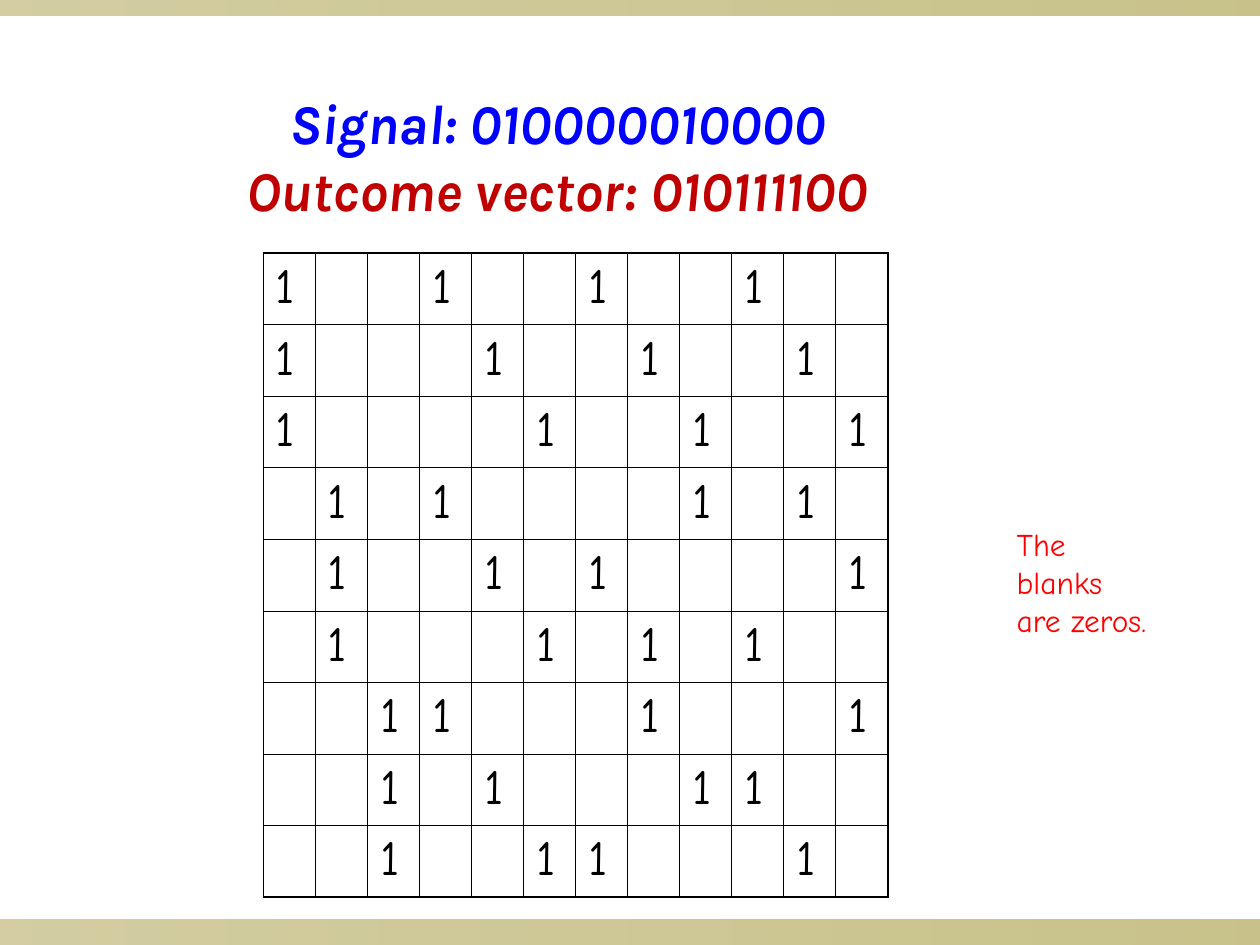
import pptx
import pptx.dml.color
import pptx.enum.shapes
import pptx.enum.text
import pptx.oxml
import pptx.oxml.ns
import pptx.util

THEME = {
    "signal": {"name": "Karla", "size": 32, "color": "0000FF", "bold": True, "italic": True},
    "outcome": {"name": "Karla", "size": 32, "color": "C00000", "bold": True, "italic": True},
    "entry": {"name": "Comic Neue", "size": 28, "color": "000000", "bold": False},
    "remark": {"name": "Comic Neue", "size": 18, "color": "FF0000"},
    "band": "918415",
    "band_alpha": (40, 50),
    "grid": "000000",
    "outer_line": 1.08,
    "inner_line": 0.45,
}


def format_font(font, style):
    values = dict(style)
    font.color.rgb = pptx.dml.color.RGBColor.from_string(values.pop("color"))
    values["size"] = pptx.util.Pt(values["size"])
    for name, value in values.items():
        setattr(font, name, value)


def set_borders(cell, outer_sides):
    for position, side in enumerate("LRTB"):
        weight = THEME["outer_line" if side in outer_sides else "inner_line"]
        border = pptx.oxml.parse_xml(
            f'<a:ln{side} {pptx.oxml.ns.nsdecls("a")} w="{pptx.util.Pt(weight)}">'
            f'<a:solidFill><a:srgbClr val="{THEME["grid"]}"/></a:solidFill></a:ln{side}>')
        cell._tc.get_or_add_tcPr().insert(position, border)


deck = pptx.Presentation()
deck.slide_width = pptx.util.Inches(10)
deck.slide_height = pptx.util.Inches(7.5)
slide = deck.slides.add_slide(deck.slide_layouts[5])

for top, height in ((7.3, 0.2), (0, 0.12)):
    band = slide.shapes.add_shape(
        pptx.enum.shapes.MSO_SHAPE.RECTANGLE, 0, pptx.util.Inches(top),
        deck.slide_width, pptx.util.Inches(height))
    band.shadow.inherit = False
    band.line.fill.background()
    band.fill.gradient()
    band.fill.gradient_angle = 0
    for stop, alpha in zip(band.fill.gradient_stops, THEME["band_alpha"]):
        stop.color.rgb = pptx.dml.color.RGBColor.from_string(THEME["band"])
        tint = stop._gs.find(pptx.oxml.ns.qn("a:srgbClr"))
        tint.append(pptx.oxml.parse_xml(
            f'<a:alpha {pptx.oxml.ns.nsdecls("a")} val="{alpha * 1000}"/>'))

heading = slide.shapes.title
for side, inches in {"left": 0.67, "top": 0.36, "width": 7.51, "height": 1.75}.items():
    setattr(heading, side, pptx.util.Inches(inches))
heading.text_frame.auto_size = pptx.enum.text.MSO_AUTO_SIZE.NONE
heading.text_frame.vertical_anchor = pptx.enum.text.MSO_ANCHOR.MIDDLE
heading_line = heading.text_frame.paragraphs[0]
heading_line.alignment = pptx.enum.text.PP_ALIGN.CENTER
signal = heading_line.add_run()
signal.text = "Signal: 010000010000"
format_font(signal.font, THEME["signal"])
heading_line.add_line_break()
outcome = heading_line.add_run()
outcome.text = "Outcome vector: 010111100"
format_font(outcome.font, THEME["outcome"])

ORDER = 3
tests, items = ORDER * ORDER, ORDER * (ORDER + 1)
matrix = slide.shapes.add_table(
    tests, items, pptx.util.Inches(2.09), pptx.util.Inches(2.01),
    pptx.util.Inches(4.96), pptx.util.Inches(5.11)).table
matrix.first_row = False
matrix.horz_banding = False
for test in range(tests):
    major, minor = divmod(test, ORDER)
    members = (major, minor, (minor - major) % ORDER, (minor + major) % ORDER)
    for item in range(items):
        entry = matrix.cell(test, item)
        entry.fill.background()
        group, member = divmod(item, ORDER)
        if members[group] == member:
            entry.text = "1"
            format_font(entry.text_frame.paragraphs[0].runs[0].font, THEME["entry"])
        edges = {"L": item == 0, "R": item == items - 1,
                 "T": test == 0, "B": test == tests - 1}
        set_borders(entry, [side for side, outer in edges.items() if outer])

remark = slide.shapes.add_textbox(
    pptx.util.Inches(7.97), pptx.util.Inches(4.12),
    pptx.util.Inches(1.35), pptx.util.Inches(0.7)).text_frame
remark.word_wrap = False
remark.text = "The blanks\nare zeros."
for remark_line in remark.paragraphs:
    format_font(remark_line.runs[0].font, THEME["remark"])

deck.save("out.pptx")
